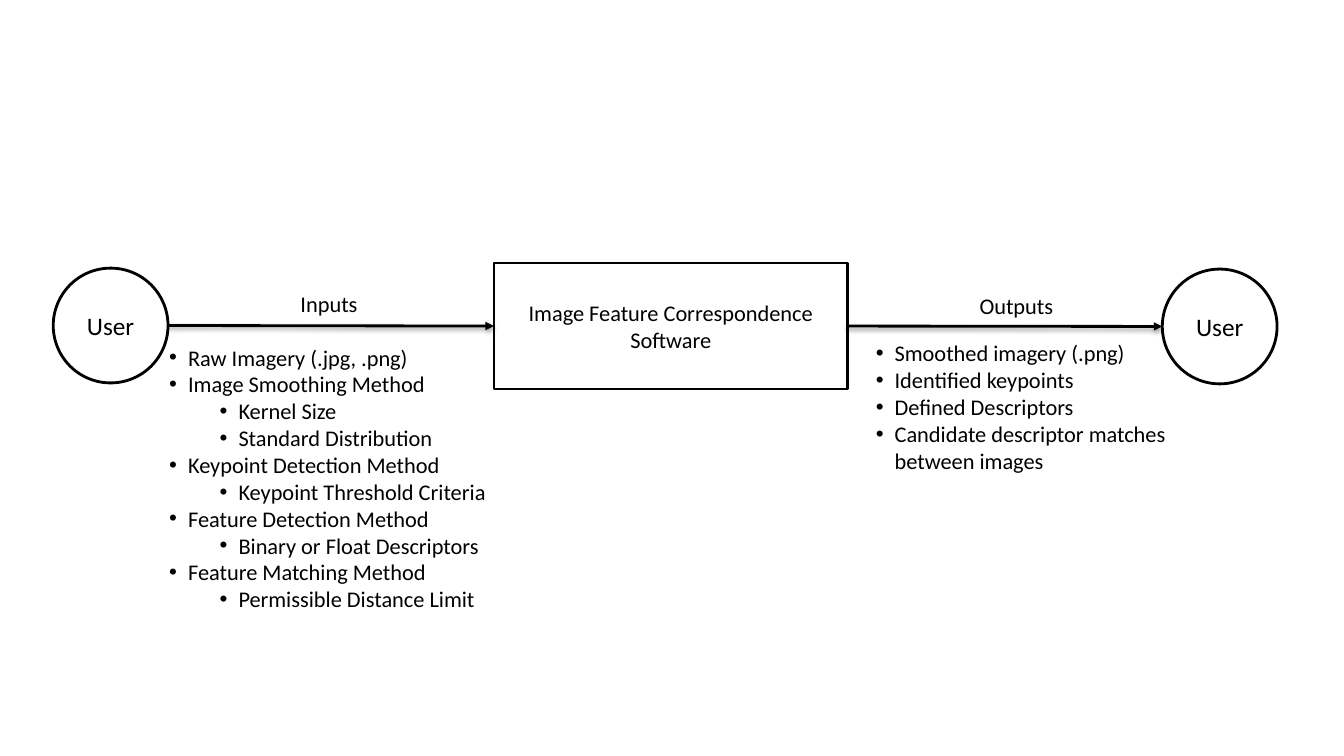
from lxml import etree
from pptx import Presentation
from pptx.dml.color import RGBColor
from pptx.enum.shapes import MSO_CONNECTOR, MSO_SHAPE
from pptx.enum.text import MSO_ANCHOR, MSO_AUTO_SIZE, PP_ALIGN
from pptx.oxml import parse_xml
from pptx.oxml.ns import nsdecls, qn
from pptx.util import Pt

OVAL, RECTANGLE = MSO_SHAPE.OVAL, MSO_SHAPE.RECTANGLE
STRAIGHT = MSO_CONNECTOR.STRAIGHT
CENTER, LEFT = PP_ALIGN.CENTER, PP_ALIGN.LEFT
MIDDLE, TOP = MSO_ANCHOR.MIDDLE, MSO_ANCHOR.TOP
GROW = MSO_AUTO_SIZE.SHAPE_TO_FIT_TEXT
RECT_LEFT, RECT_RIGHT = 1, 3

# Content: lists hold (level, text)
USER = "User"
SOFTWARE = "Image Feature Correspondence Software"
INPUTS = [
    (0, "Raw Imagery (.jpg, .png)"),
    (0, "Image Smoothing Method"),
    (1, "Kernel Size"),
    (1, "Standard Distribution"),
    (0, "Keypoint Detection Method"),
    (1, "Keypoint Threshold Criteria"),
    (0, "Feature Detection Method"),
    (1, "Binary or Float Descriptors"),
    (0, "Feature Matching Method"),
    (1, "Permissible Distance Limit"),
]
OUTPUTS = [
    (0, "Smoothed imagery (.png)"),
    (0, "Identified keypoints"),
    (0, "Defined Descriptors"),
    (0, "Candidate descriptor matches between images"),
]

# Style and layout, in points
COLORS = {"ink": "000000"}
FONT = "Calibri"
USER_SIZE, TEXT_SIZE = 18, 16
LINE_WIDTH = 2
HANGING, LEVEL_STEP = 13.5, 36
CIRCLE = 82
SENDER_LEFT, SENDER_TOP = 38, 191.5
RECEIVER_LEFT, RECEIVER_TOP = 830.2, 192.2
SOFTWARE_BOX = (352.8, 187.9, 252.7, 90)
LABELS = [("Inputs", (175, 203.8, 120, 26.6)), ("Outputs", (666, 205.2, 120, 26.6))]
LISTS = [(INPUTS, (113.8, 241.9, 252, 200.9)), (OUTPUTS, (618.5, 239, 252, 104.4))]

presentation = Presentation()
presentation.slide_width, presentation.slide_height = Pt(960), Pt(540)
slide = presentation.slides.add_slide(presentation.slide_layouts[6])


def style_line(line):
    line.color.rgb = RGBColor.from_string(COLORS["ink"])
    line.width = Pt(LINE_WIDTH)


def write(shape, items, size, align, anchor, bullets=False):
    frame = shape.text_frame
    frame.word_wrap = True
    frame.vertical_anchor = anchor
    font_format = {"name": FONT, "size": Pt(size)}
    for index, (level, text) in enumerate(items):
        paragraph = frame.paragraphs[0] if index == 0 else frame.add_paragraph()
        paragraph.alignment = align
        paragraph.level = level
        run = paragraph.add_run()
        run.text = text
        for name, value in font_format.items():
            setattr(run.font, name, value)
        run.font.color.rgb = RGBColor.from_string(COLORS["ink"])
        if bullets:
            properties = paragraph._p.get_or_add_pPr()
            properties.set("marL", str(Pt(HANGING + level * LEVEL_STEP)))
            properties.set("indent", str(-Pt(HANGING)))
            etree.SubElement(properties, qn("a:buFont")).set("typeface", "Arial")
            etree.SubElement(properties, qn("a:buChar")).set("char", "•")


def add_node(kind, box, text, size):
    shape = slide.shapes.add_shape(kind, *map(Pt, box))
    shape.shadow.inherit = False
    shape.fill.background()
    style_line(shape.line)
    write(shape, [(0, text)], size, CENTER, MIDDLE)
    return shape


def add_text(box, items, align, bullets=False):
    shape = slide.shapes.add_textbox(*map(Pt, box))
    write(shape, items, TEXT_SIZE, align, TOP, bullets)
    shape.text_frame.auto_size = GROW


def add_arrow(start, end):
    arrow = slide.shapes.add_connector(STRAIGHT, *map(Pt, start + end))
    style_line(arrow.line)
    tail = etree.SubElement(arrow.line._get_or_add_ln(), qn("a:tailEnd"))
    tail.set("type", "triangle")
    arrow._element.spPr.append(parse_xml(
        f'<a:effectLst {nsdecls("a")}><a:outerShdw blurRad="{Pt(3.1)}" '
        f'dist="{Pt(1.6)}" dir="5400000" rotWithShape="0">'
        f'<a:srgbClr val="{COLORS["ink"]}"><a:alpha val="38000"/></a:srgbClr>'
        '</a:outerShdw></a:effectLst>'))
    return arrow


# Users and software
for left, top in [(RECEIVER_LEFT, RECEIVER_TOP), (SENDER_LEFT, SENDER_TOP)]:
    add_node(OVAL, (left, top, CIRCLE, CIRCLE), USER, USER_SIZE)
software = add_node(RECTANGLE, SOFTWARE_BOX, SOFTWARE, TEXT_SIZE)

# Arrows from user to software and on to user
box_left, box_top, box_width, box_height = SOFTWARE_BOX
box_middle = box_top + box_height / 2
input_arrow = add_arrow((SENDER_LEFT + CIRCLE, SENDER_TOP + CIRCLE / 2),
                        (box_left, box_middle))
input_arrow.end_connect(software, RECT_LEFT)
output_arrow = add_arrow((box_left + box_width, box_middle),
                         (RECEIVER_LEFT, RECEIVER_TOP + CIRCLE / 2))
output_arrow.begin_connect(software, RECT_RIGHT)

# Arrow labels and bulleted lists
for label, box in LABELS:
    add_text(box, [(0, label)], CENTER)
for items, box in LISTS:
    add_text(box, items, LEFT, bullets=True)

presentation.save("out.pptx")
